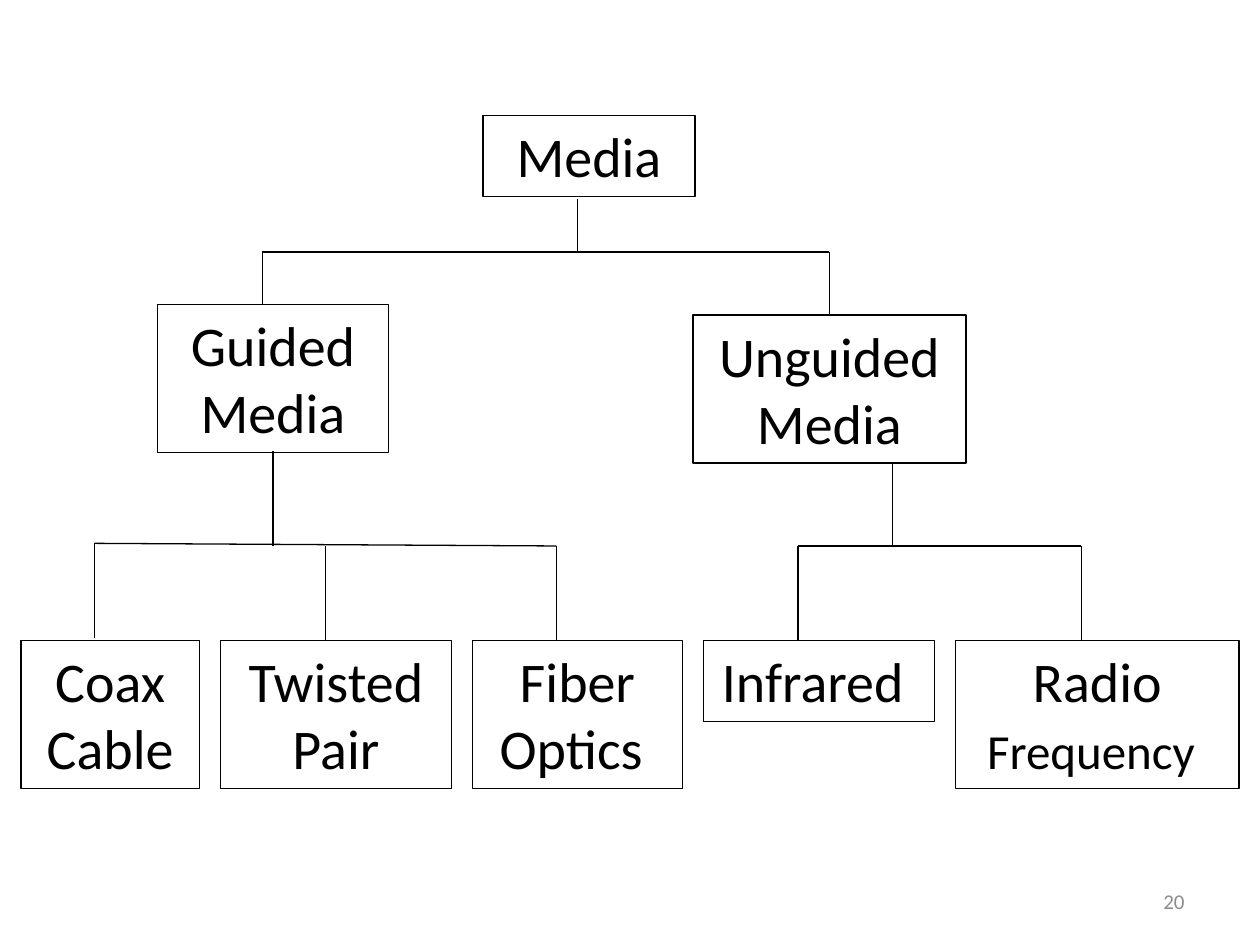
from dataclasses import dataclass

from lxml.etree import SubElement
from pptx import Presentation
from pptx.dml.color import RGBColor
from pptx.enum.shapes import MSO_CONNECTOR, MSO_SHAPE
from pptx.enum.text import MSO_ANCHOR, MSO_AUTO_SIZE, PP_ALIGN
from pptx.oxml.ns import qn
from pptx.slide import Slide
from pptx.util import Inches, Pt


@dataclass(frozen=True)
class Theme:
    font: str = "Calibri"
    ink: RGBColor = RGBColor(0, 0, 0)
    gray: RGBColor = RGBColor(0x8C, 0x8C, 0x8C)
    label: Pt = Pt(32)
    small: Pt = Pt(28)
    number: Pt = Pt(12)
    line: Pt = Pt(0.75)


@dataclass(frozen=True)
class Node:
    lines: tuple[str, ...]
    col: float
    row: float
    cols: float
    small: str = ""  # word set in the smaller size


@dataclass(frozen=True)
class Branch:
    stem: float   # column of the line from the parent
    top: float    # row where the stem starts
    bar: float    # row of the crossbar
    drops: tuple[tuple[float, float], ...]  # column and end row of each child
    tilt: float = 0  # rise of the crossbar's left end


THEME = Theme()
GRID = 12  # cells per inch: 120 columns by 90 rows
HIGH = {1: 7.7, 2: 14.1}  # box rows by number of text lines
LEAF = 61  # top row of the lowest boxes

NODES = (
    Node(("Media",), 46, 11, 20.2),
    Node(("Guided", "Media"), 15, 29, 22),
    Node(("Unguided", "Media"), 66, 30, 26),
    Node(("Coax", "Cable"), 2, LEAF, 17),
    Node(("Twisted", "Pair"), 21, LEAF, 22),
    Node(("Fiber", "Optics "), 45, LEAF, 20),
    Node(("Infrared ",), 67, LEAF, 22),
    Node(("Radio", "Frequency "), 91, LEAF, 27, "Frequency"),
)
TREE = (
    Branch(55, 19, 24, ((25, 29), (79, 30))),
    Branch(26, 43, 52, ((9, 60.75), (31, LEAF), (53, LEAF)), 0.25),
    Branch(85, 44, 52, ((76, LEAF), (103, LEAF))),
)


def cell(n: float) -> int:
    return Inches(n / GRID)


def draw_node(slide: Slide, node: Node) -> None:
    box = slide.shapes.add_shape(
        MSO_SHAPE.RECTANGLE, cell(node.col), cell(node.row),
        cell(node.cols), cell(HIGH[len(node.lines)]))
    box.shadow.inherit = False
    box.fill.background()
    box.line.color.rgb = THEME.ink
    box.line.width = THEME.line
    frame = box.text_frame
    frame.word_wrap = True
    frame.auto_size = MSO_AUTO_SIZE.SHAPE_TO_FIT_TEXT
    frame.vertical_anchor = MSO_ANCHOR.TOP
    for i, text in enumerate(node.lines):
        para = frame.paragraphs[0] if i == 0 else frame.add_paragraph()
        para.alignment = PP_ALIGN.CENTER
        para.font.name = THEME.font
        para.font.size = THEME.label
        para.font.color.rgb = THEME.ink
        if node.small and text.startswith(node.small):
            run = para.add_run()
            run.text = node.small
            run.font.size = THEME.small
            text = text.removeprefix(node.small)
        para.add_run().text = text


def draw_line(slide: Slide, x1: float, y1: float, x2: float, y2: float) -> None:
    line = slide.shapes.add_connector(
        MSO_CONNECTOR.STRAIGHT, cell(x1), cell(y1), cell(x2), cell(y2))
    line.line.color.rgb = THEME.ink
    line.line.width = THEME.line
    SubElement(line._element.spPr, qn("a:effectLst"))


def draw_branch(slide: Slide, part: Branch) -> None:
    left, right = part.drops[0][0], part.drops[-1][0]
    draw_line(slide, left, part.bar - part.tilt, right, part.bar)
    draw_line(slide, part.stem, part.top, part.stem, part.bar)
    for col, end in part.drops:
        top = part.bar - (part.tilt if col == left else 0)
        draw_line(slide, col, top, col, end)


def draw_number(slide: Slide, text: str) -> None:
    box = slide.shapes.add_textbox(cell(86), cell(83.4), cell(28), cell(4.8))
    frame = box.text_frame
    frame.word_wrap = True
    frame.vertical_anchor = MSO_ANCHOR.MIDDLE
    para = frame.paragraphs[0]
    para.text = text
    para.alignment = PP_ALIGN.RIGHT
    para.font.name = THEME.font
    para.font.size = THEME.number
    para.font.color.rgb = THEME.gray


def main() -> None:
    deck = Presentation()
    deck.slide_width, deck.slide_height = cell(120), cell(90)
    slide = deck.slides.add_slide(deck.slide_layouts[6])
    # Page number
    draw_number(slide, "20")
    # Boxes of the tree
    for node in NODES:
        draw_node(slide, node)
    # Lines between the levels
    for part in TREE:
        draw_branch(slide, part)
    deck.save("out.pptx")


if __name__ == "__main__":
    main()
